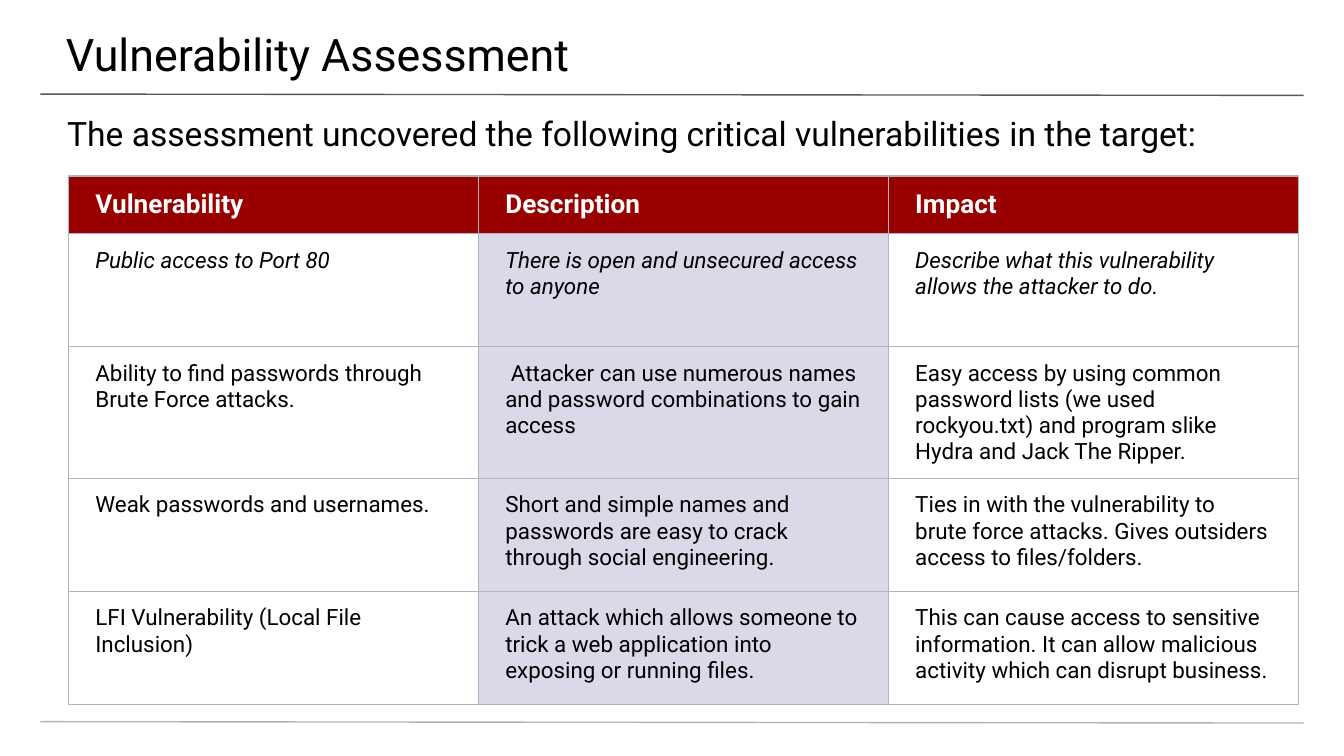
"""Build a slide with a table of the vulnerabilities found in an assessment."""
from lxml import etree
from pptx import Presentation
from pptx.dml.color import RGBColor
from pptx.enum.shapes import MSO_CONNECTOR
from pptx.enum.text import MSO_ANCHOR, MSO_AUTO_SIZE, PP_ALIGN
from pptx.oxml import parse_xml
from pptx.oxml.ns import nsdecls, qn
from pptx.util import Inches, Pt

STRAIGHT = MSO_CONNECTOR.STRAIGHT
TOP, MIDDLE = MSO_ANCHOR.TOP, MSO_ANCHOR.MIDDLE
LEFT = PP_ALIGN.LEFT
NO_FIT = MSO_AUTO_SIZE.NONE

BLACK = RGBColor(0x00, 0x00, 0x00)
WHITE = RGBColor(0xFF, 0xFF, 0xFF)
GRAY = RGBColor(0x59, 0x59, 0x59)
STEEL = RGBColor(0xA9, 0xB7, 0xC0)
RED = RGBColor(0x99, 0x00, 0x00)
LILAC = RGBColor(0xDB, 0xD9, 0xE8)
FONT = "Roboto"
WIDTH = Inches(10)

ROWS = [
    ("Vulnerability", "Description", "Impact"),
    ("Public access to Port 80",
     "There is open and unsecured access to anyone",
     "Describe what this vulnerability allows the attacker to do."),
    ("Ability to find passwords through Brute Force attacks.",
     " Attacker can use numerous names and password combinations to gain access",
     "Easy access by using common password lists (we used rockyou.txt) "
     "and program slike Hydra and Jack The Ripper."),
    ("Weak passwords and usernames.",
     "Short and simple names and passwords are easy to crack "
     "through social engineering.",
     "Ties in with the vulnerability to brute force attacks. "
     "Gives outsiders access to files/folders."),
    ("LFI Vulnerability (Local File Inclusion)",
     "An attack which allows someone to trick a web application "
     "into exposing or running files.",
     "This can cause access to sensitive information. "
     "It can allow malicious activity which can disrupt business."),
]


def style(para, size, color=BLACK, bold=False, italic=False):
    for run in para.runs:
        font = run.font
        font.name, font.size = FONT, Pt(size)
        font.bold, font.italic = bold, italic
        font.color.rgb = color


def inset(box, *sides):
    names = ("margin_left", "margin_top", "margin_right", "margin_bottom")
    for name, side in zip(names, sides):
        setattr(box, name, Inches(side))


def add_rule(slide, top, color):
    rule = slide.shapes.add_connector(
        STRAIGHT, Inches(0.3), Inches(top), Inches(9.7), Inches(top + 0.01))
    rule.line.color.rgb = color
    rule.line.width = Pt(0.75)
    etree.SubElement(rule._element.spPr, qn("a:effectLst"))


def fill_holder(shape, text, place, sides, size):
    shape.left, shape.top, shape.width, shape.height = map(Inches, place)
    frame = shape.text_frame
    frame.text = text
    frame.word_wrap = True
    frame.auto_size = NO_FIT
    frame.vertical_anchor = TOP
    inset(frame, *sides)
    para = frame.paragraphs[0]
    para.alignment = LEFT
    para.line_spacing = 1.0
    para.space_before = Pt(0)
    style(para, size)


def add_edges(cell):
    props = cell._tc.get_or_add_tcPr()
    for side in ("lnL", "lnR", "lnT", "lnB"):
        props.append(parse_xml(
            f'<a:{side} {nsdecls("a")} w="{Pt(0.75)}"><a:solidFill>'
            f'<a:srgbClr val="{STEEL}"/></a:solidFill></a:{side}>'))


def paint(cell, color):
    if color is None:
        cell.fill.background()
    else:
        cell.fill.solid()
        cell.fill.fore_color.rgb = color


def fill_cell(cell, text, row, col):
    head = row == 0
    cell.text = text
    inset(cell, 0.2, 0.1, 0.2, 0.1)
    cell.vertical_anchor = MIDDLE if head else TOP
    add_edges(cell)
    paint(cell, RED if head else LILAC if col == 1 else None)
    para = cell.text_frame.paragraphs[0]
    if head:
        style(para, 14, WHITE, bold=True)
    else:
        style(para, 12, italic=row == 1)


def add_grid(slide):
    frame = slide.shapes.add_table(
        len(ROWS), len(ROWS[0]), Inches(0.51), Inches(1.31),
        Inches(9.15), Inches(3.79))
    table = frame.table
    table.horz_banding = False
    for col in table.columns:
        col.width = Inches(3.05)
    for i, texts in enumerate(ROWS):
        table.rows[i].height = Inches(0.84 if i else 0.43)
        for j, text in enumerate(texts):
            fill_cell(table.cell(i, j), text, i, j)


def main():
    deck = Presentation()
    deck.slide_width, deck.slide_height = WIDTH, WIDTH * 9 // 16
    slide = deck.slides.add_slide(deck.slide_layouts[0])
    add_rule(slide, 0.7, GRAY)
    add_rule(slide, 5.37, STEEL)
    fill_holder(slide.shapes.title, "Vulnerability Assessment",
                (-0.01, 0, 10.03, 0.58), (0.5, 0.2, 0.3, 0.1), 24)
    fill_holder(slide.placeholders[1],
                "The assessment uncovered the following critical "
                "vulnerabilities in the target:",
                (0, 0.74, 10, 0.4), (0.5, 0.1, 0.5, 0), 18)
    add_grid(slide)
    deck.save("out.pptx")


if __name__ == "__main__":
    main()
